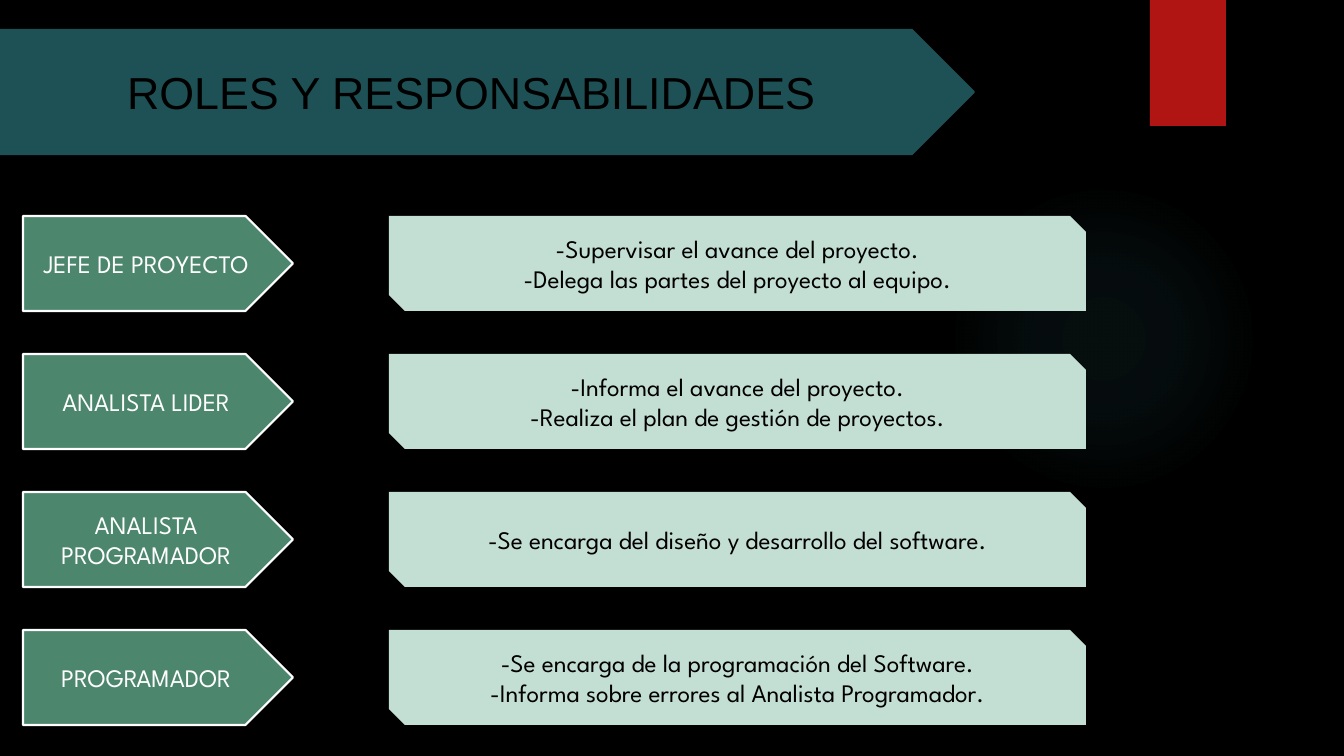
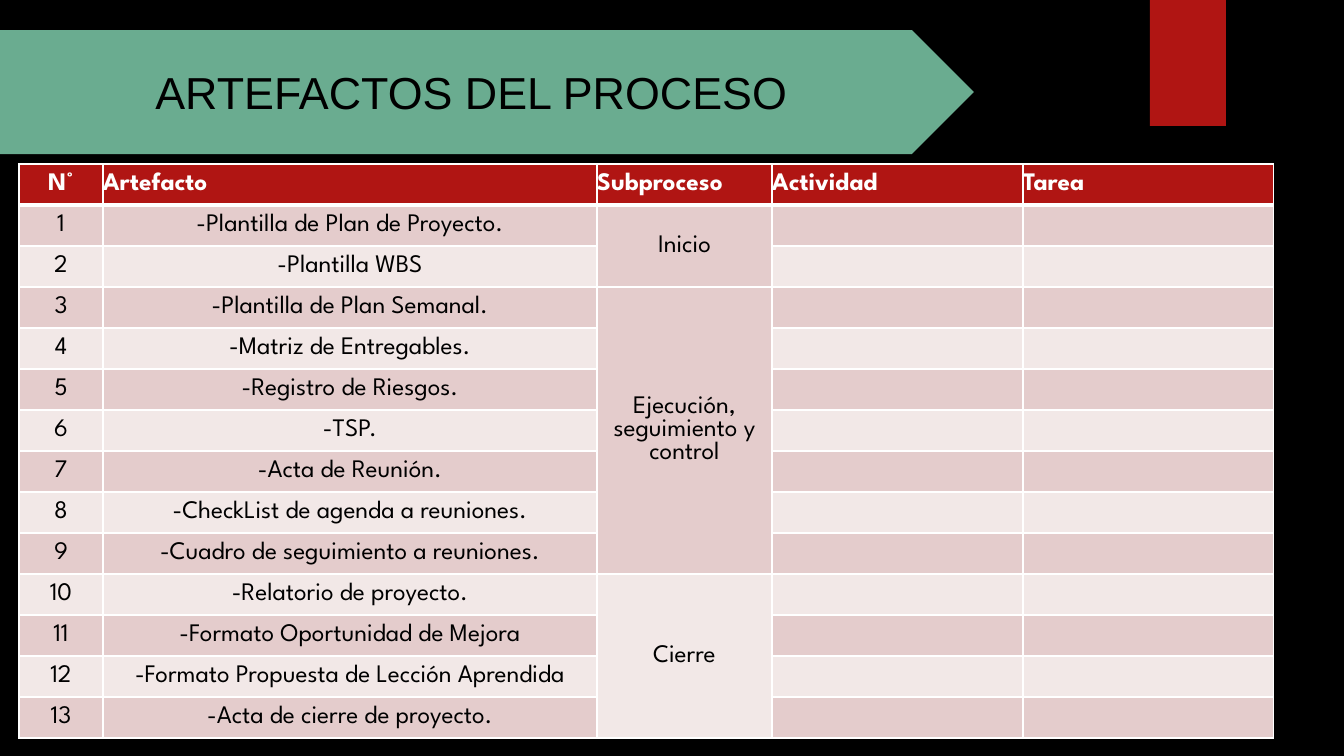
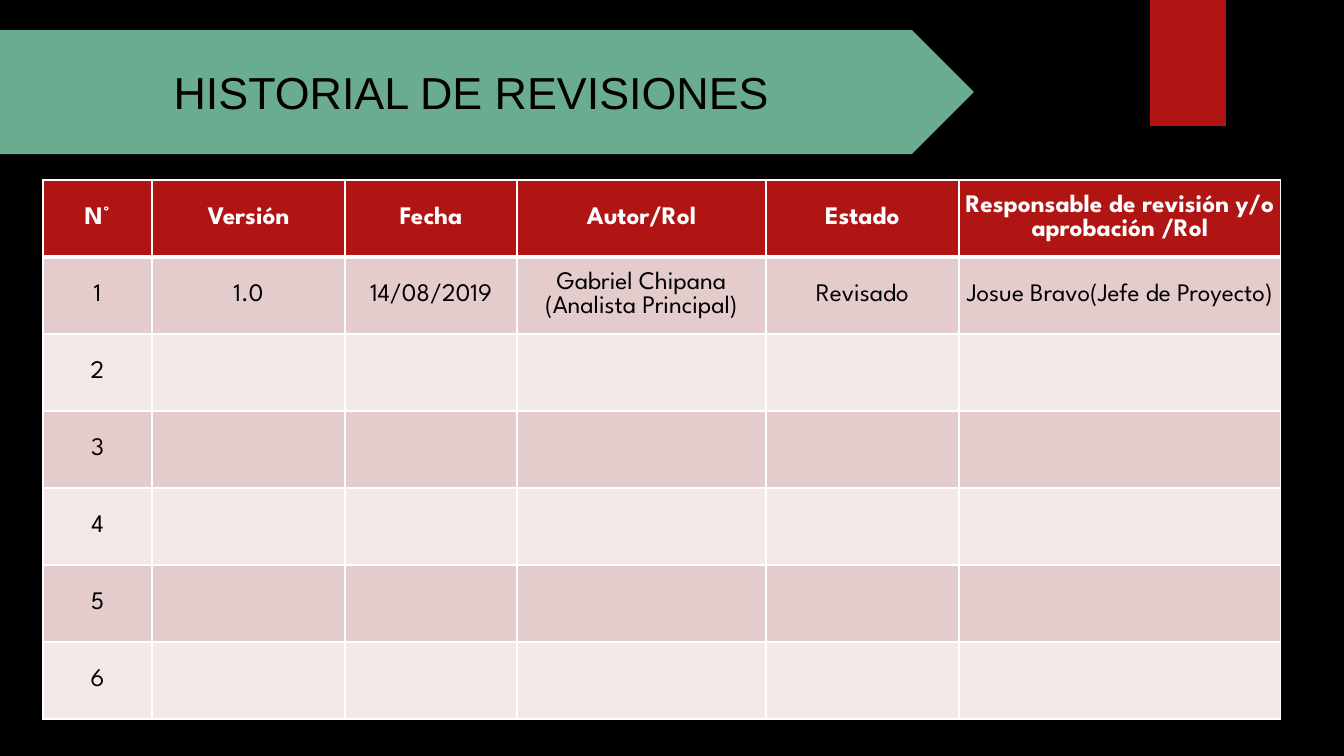
from dataclasses import dataclass, field

from pptx import Presentation
from pptx.dml.color import RGBColor
from pptx.enum.shapes import MSO_SHAPE
from pptx.enum.text import MSO_ANCHOR, PP_ALIGN
from pptx.oxml import parse_xml
from pptx.oxml.ns import nsdecls, qn
from pptx.shapes.autoshape import Shape
from pptx.slide import Slide
from pptx.table import _Cell
from pptx.text.text import TextFrame
from pptx.util import Emu, Pt

SLIDE_W, SLIDE_H = 1344, 756
EMU_PER_PX = 12192000 / SLIDE_W
COLORS = {
    "black": "000000", "white": "FFFFFF", "red": "B01513", "teal": "1E5155",
    "mint": "6AAC90", "green": "4B866D", "pale": "C3DED3", "glow": "50B9C1",
    "band_dark": "E4CCCC", "band_light": "F2E8E7",
}
TITLE_FONT, BODY_FONT = "Arial", "League Spartan"
BODY_SIZE = 18


@dataclass
class Box:
    x: int
    y: int
    w: int
    h: int


@dataclass
class Role:
    name: str
    duties: str


@dataclass
class Span:
    row: int
    count: int


@dataclass
class Grid:
    x: int
    y: int
    col_widths: list[int]
    row_height: int
    rows: list[list[str]]
    left_headers: bool = False
    span_col: int = 0
    spans: list[Span] = field(default_factory=list)


def px(n: int) -> Emu:
    return Emu(round(n * EMU_PER_PX))


def rgb(name: str) -> RGBColor:
    return RGBColor.from_string(COLORS[name])


def write(tf: TextFrame, text: str, color: str, size: int = BODY_SIZE,
          font: str = BODY_FONT, bold: bool = False,
          align: PP_ALIGN = PP_ALIGN.CENTER) -> None:
    tf.text = text
    for p in tf.paragraphs:
        p.alignment = align
        for r in p.runs:
            r.font.name = font
            r.font.size = Pt(size)
            r.font.bold = bold
            r.font.color.rgb = rgb(color)


def add_shape(s: Slide, kind: MSO_SHAPE, box: Box, fill: str, line: str = "") -> Shape:
    sp = s.shapes.add_shape(kind, px(box.x), px(box.y), px(box.w), px(box.h))
    sp.shadow.inherit = False
    sp.fill.solid()
    sp.fill.fore_color.rgb = rgb(fill)
    if line:
        sp.line.color.rgb = rgb(line)
        sp.line.width = Pt(1.5)
    else:
        sp.line.fill.background()
    sp.text_frame.word_wrap = True
    sp.text_frame.vertical_anchor = MSO_ANCHOR.MIDDLE
    return sp


def add_glow(s: Slide) -> None:
    sp = add_shape(s, MSO_SHAPE.OVAL, Box(949, 184, 310, 310), "glow")
    stops = "".join(
        f'<a:gs pos="{pos}000"><a:srgbClr val="{COLORS["glow"]}">'
        f'<a:alpha val="{alpha}000"/></a:srgbClr></a:gs>'
        for pos, alpha in ((0, 7), (36, 6), (69, 0)))
    grad = parse_xml(
        f'<a:gradFill {nsdecls("a")}><a:gsLst>{stops}</a:gsLst><a:path path="circle">'
        '<a:fillToRect l="50000" t="50000" r="50000" b="50000"/></a:path></a:gradFill>')
    spPr = sp._element.spPr
    spPr.replace(spPr.find(qn("a:solidFill")), grad)


def add_ribbon(s: Slide) -> None:
    sp = add_shape(s, MSO_SHAPE.RECTANGLE, Box(1150, 0, 76, 126), "red")
    sp._element.spPr.find(qn("a:effectLst")).append(parse_xml(
        f'<a:outerShdw {nsdecls("a")} blurRad="{Pt(3)}" dist="{Pt(2)}" dir="5400000" '
        f'rotWithShape="0"><a:srgbClr val="{COLORS["black"]}"><a:alpha val="45000"/>'
        '</a:srgbClr></a:outerShdw>'))


def new_slide(prs: Presentation, title: str, banner: str = "mint", line: str = "") -> Slide:
    s = prs.slides.add_slide(prs.slide_layouts[6])
    s.background.fill.solid()
    s.background.fill.fore_color.rgb = rgb("black")
    add_glow(s)
    add_ribbon(s)
    sp = add_shape(s, MSO_SHAPE.PENTAGON, Box(0, 30, 974, 124), banner, line)
    write(sp.text_frame, title, "black", size=32, font=TITLE_FONT)
    return s


def add_role(s: Slide, role: Role, y: int) -> None:
    sp = add_shape(s, MSO_SHAPE.PENTAGON, Box(23, y, 270, 95), "green", "white")
    write(sp.text_frame, role.name, "white")
    sp = add_shape(s, MSO_SHAPE.SNIP_2_DIAG_RECTANGLE, Box(389, y, 697, 95), "pale")
    write(sp.text_frame, role.duties, "black")


def set_borders(cell: _Cell, top: int, bottom: int) -> None:
    tcPr = cell._tc.get_or_add_tcPr()
    for side, width in (("L", 1), ("R", 1), ("T", top), ("B", bottom)):
        tcPr.append(parse_xml(
            f'<a:ln{side} {nsdecls("a")} w="{Pt(width)}"><a:solidFill>'
            f'<a:srgbClr val="{COLORS["white"]}"/></a:solidFill></a:ln{side}>'))


def add_grid(s: Slide, grid: Grid) -> None:
    n_rows, n_cols = len(grid.rows), len(grid.col_widths)
    tbl = s.shapes.add_table(n_rows, n_cols, px(grid.x), px(grid.y),
                             px(sum(grid.col_widths)), px(grid.row_height * n_rows)).table
    for col, width in zip(tbl.columns, grid.col_widths):
        col.width = px(width)
    for i, texts in enumerate(grid.rows):
        tbl.rows[i].height = px(grid.row_height)
        head = i == 0
        fill = "red" if head else "band_dark" if i % 2 else "band_light"
        for j in range(n_cols):
            cell = tbl.cell(i, j)
            set_borders(cell, top=3 if i == 1 else 1, bottom=3 if head else 1)
            cell.fill.solid()
            cell.fill.fore_color.rgb = rgb(fill)
            cell.margin_left = cell.margin_right = cell.margin_top = cell.margin_bottom = 0
            cell.vertical_anchor = MSO_ANCHOR.MIDDLE
            if j < len(texts) and texts[j]:
                left = head and grid.left_headers and j > 0
                write(cell.text_frame, texts[j], "white" if head else "black", bold=head,
                      align=PP_ALIGN.LEFT if left else PP_ALIGN.CENTER)
    for span in grid.spans:
        last = tbl.cell(span.row + span.count - 1, grid.span_col)
        tbl.cell(span.row, grid.span_col).merge(last)


ROLES = [
    Role("JEFE DE PROYECTO",
         "-Supervisar el avance del proyecto.\n-Delega las partes del proyecto al equipo."),
    Role("ANALISTA LIDER",
         "-Informa el avance del proyecto.\n-Realiza el plan de gestión de proyectos."),
    Role("ANALISTA PROGRAMADOR", "-Se encarga del diseño y desarrollo del software."),
    Role("PROGRAMADOR",
         "-Se encarga de la programación del Software.\n"
         "-Informa sobre errores al Analista Programador."),
]
ARTIFACTS = [
    "-Plantilla de Plan de Proyecto.", "-Plantilla WBS", "-Plantilla de Plan Semanal.",
    "-Matriz de Entregables.", "-Registro de Riesgos.", "-TSP.", "-Acta de Reunión.",
    "-CheckList de agenda a reuniones.", "-Cuadro de seguimiento a reuniones.",
    "-Relatorio de proyecto.", "-Formato Oportunidad de Mejora",
    "-Formato Propuesta de Lección Aprendida", "-Acta de cierre de proyecto.",
]
SUBPROCESSES = {1: "Inicio", 3: "Ejecución, seguimiento y control", 10: "Cierre"}
ARTIFACT_GRID = Grid(
    19, 164, [84, 494, 175, 251, 251], 41,
    [["N°", "Artefacto", "Subproceso", "Actividad", "Tarea"]]
    + [[str(n), name, SUBPROCESSES.get(n, "")] for n, name in enumerate(ARTIFACTS, 1)],
    left_headers=True, span_col=2, spans=[Span(1, 2), Span(3, 7), Span(10, 4)])
REVISION_GRID = Grid(
    43, 180, [109, 193, 172, 249, 193, 322], 77,
    [["N°", "Versión", "Fecha", "Autor/Rol", "Estado",
      "Responsable de revisión y/o aprobación /Rol"],
     ["1", "1.0", "14/08/2019", "Gabriel Chipana\n(Analista Principal)", "Revisado",
      "Josue Bravo(Jefe de Proyecto)"]]
    + [[str(n)] for n in range(2, 7)])


def main() -> None:
    prs = Presentation()
    prs.slide_width, prs.slide_height = px(SLIDE_W), px(SLIDE_H)

    # Roles and duties
    s = new_slide(prs, "ROLES Y RESPONSABILIDADES", "teal", "teal")
    for i, role in enumerate(ROLES):
        add_role(s, role, 216 + 138 * i)

    # Process artifacts
    add_grid(new_slide(prs, "ARTEFACTOS DEL PROCESO"), ARTIFACT_GRID)

    # Revision history
    add_grid(new_slide(prs, "HISTORIAL DE REVISIONES"), REVISION_GRID)

    prs.save("out.pptx")


if __name__ == "__main__":
    main()
